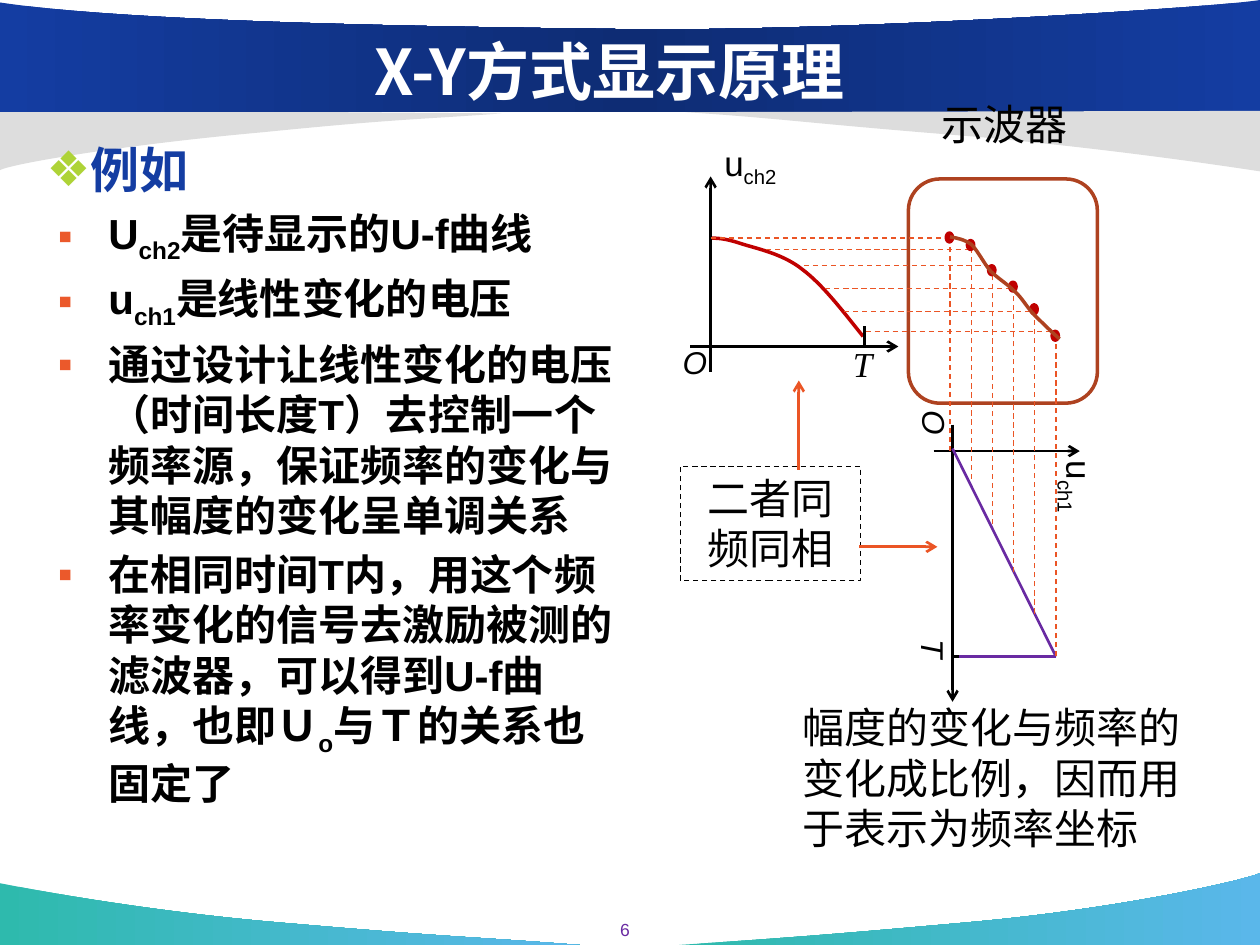
from copy import deepcopy

from lxml.etree import SubElement
from pptx import Presentation
from pptx.dml.color import RGBColor
from pptx.enum.dml import MSO_LINE
from pptx.enum.shapes import MSO_CONNECTOR, MSO_SHAPE
from pptx.enum.text import MSO_ANCHOR, MSO_AUTO_SIZE, PP_ALIGN
from pptx.oxml.ns import qn
from pptx.util import Inches, Pt

CJK = "Noto Sans CJK SC"
BLACK, WHITE, NAVY, PURPLE = "000000", "FFFFFF", "143DA2", "692AA2"
RED, BROWN, ORANGE, GREY = "C00000", "AE4220", "EB5525", "DDDDDD"
TEAL_SKY = ["2EBAAD", "5AB7EA"]


def style(shape, line=None, width=1.5, dash=False, arrow=False):
    """Set the outline of a shape or connector and switch off its shadow."""
    properties = shape._element.spPr
    if line:
        shape.line.color.rgb = RGBColor.from_string(line)
        shape.line.width = Pt(width)
        if dash:
            shape.line.dash_style = MSO_LINE.DASH
        if arrow:
            SubElement(properties.get_or_add_ln(), qn("a:tailEnd"), type="arrow")
    else:
        shape.line.fill.background()
    SubElement(properties, qn("a:effectLst"))


def write(paragraph, text, size, color=BLACK, font="Arial", bold=False, italic=False):
    """Write text in which _underscores_ enclose subscripts."""
    for index, part in enumerate(text.split("_")):
        run = paragraph.add_run()
        run.text = part
        run.font.size, run.font.name = Pt(size), font
        run.font.bold, run.font.italic = bold, italic
        run.font.color.rgb = RGBColor.from_string(color)
        properties = run._r.get_or_add_rPr()
        SubElement(properties, qn("a:ea"), typeface=CJK)
        if index % 2:
            properties.set("baseline", "-25000")


presentation = Presentation()
presentation.slide_width, presentation.slide_height = Inches(10), Inches(7.5)
slide = presentation.slides.add_slide(presentation.slide_layouts[1])
shapes = slide.shapes
title, body = slide.placeholders

# Background waves and the two signal curves:
# Bezier points, straight corners, fill colours, line colour
outlines = [
    ([(4.6, 7.5), (3.84, 7.44), (3.58, 7.44), (2.32, 7.33), (1.06, 7.23), (0.01, 7.01), (0, 7.01)],
     [(0, 7.5)], TEAL_SKY, None),
    ([(5.39, 7.5), (6.14, 7.45), (6.46, 7.43), (7.69, 7.32), (8.92, 7.21), (9.9, 6.98), (10, 6.93)],
     [(10, 7.5)], TEAL_SKY, None),
    ([(3.98, 0.9), (3.31, 0.95), (3.18, 0.94), (2.08, 1.05), (0.97, 1.15), (0.09, 1.3), (0, 1.35)],
     [(0, 0.87)], [GREY], None),
    ([(10, 0), (9.64, 0.06), (6.53, 0.26), (4.87, 0.23), (3.21, 0.21), (1.01, 0.17), (0, 0.02)],
     [(0, 0.89), (10, 0.89)], [NAVY, "0E2C74", NAVY], None),
    ([(5.44, 0.89), (6.2, 0.94), (6.42, 0.98), (7.68, 1.08), (8.94, 1.19), (9.99, 1.36), (10, 1.36)],
     [(10, 0.88)], [GREY], None),
    ([(5.64, 1.89), (5.69, 1.89), (5.75, 1.89), (5.87, 1.93), (5.99, 1.97), (6.21, 2.01),
      (6.37, 2.14), (6.53, 2.26), (6.69, 2.47), (6.85, 2.67)], [], [], RED),
    ([(7.54, 1.88), (7.6, 1.89), (7.65, 1.9), (7.71, 1.94), (7.76, 1.99), (7.81, 2.09),
      (7.86, 2.15), (7.92, 2.21), (7.99, 2.25), (8.05, 2.31), (8.11, 2.36), (8.15, 2.44),
      (8.21, 2.5), (8.27, 2.56), (8.34, 2.63), (8.41, 2.69)], [], [], BROWN),
]
for points, corners, fills, line in outlines:
    # The builder takes whole units, so points are given in hundredths of an inch
    first, *rest = [(round(x * 100), round(y * 100)) for x, y in points + corners]
    builder = shapes.build_freeform(*first, scale=Inches(0.01))
    builder.add_line_segments(rest, close=bool(fills))
    curve = builder.convert_to_shape()
    # Join every three segments of the curved part into one Bezier segment
    segments = list(curve._element.iter(qn("a:lnTo")))[:len(points) - 1]
    for start in range(0, len(segments), 3):
        bezier = segments[start].makeelement(qn("a:cubicBezTo"))
        segments[start].addprevious(bezier)
        for segment in segments[start:start + 3]:
            bezier.append(segment[0])
            segment.getparent().remove(segment)
    if len(fills) > 1:
        curve.fill.gradient()
        curve.fill.gradient_angle = 0
        stop_list = curve._element.spPr.find(".//" + qn("a:gsLst"))
        for extra in fills[2:]:
            stop_list.insert(1, deepcopy(stop_list[0]))
        for index, stop in enumerate(curve.fill.gradient_stops):
            stop.position = index / (len(fills) - 1)
            stop.color.rgb = RGBColor.from_string(fills[index])
    elif fills:
        curve.fill.solid()
        curve.fill.fore_color.rgb = RGBColor.from_string(fills[0])
    else:
        curve.fill.background()
    style(curve, line, 2)
screen_trace = curve

# Title and list, in front of the waves
for placeholder, box in ((title, (0.92, 0.25, 7.83, 0.62)), (body, (0.27, 1.06, 4.73, 6.03))):
    shapes._spTree.append(placeholder._element)
    placeholder.left, placeholder.top, placeholder.width, placeholder.height = map(Inches, box)
    placeholder.text_frame.auto_size = MSO_AUTO_SIZE.NONE
title.text_frame.vertical_anchor = MSO_ANCHOR.MIDDLE
title.text_frame.paragraphs[0].alignment = PP_ALIGN.CENTER
write(title.text_frame.paragraphs[0], "X-Y方式显示原理", 36, WHITE, CJK, bold=True)

items = [
    "例如",
    "U_ch2_是待显示的U-f曲线",
    "u_ch1_是线性变化的电压",
    "通过设计让线性变化的电压（时间长度T）去控制一个频率源，保证频率的变化与其幅度的变化呈单调关系",
    "在相同时间T内，用这个频率变化的信号去激励被测的滤波器，可以得到U-f曲线，也即Ｕ_o_与Ｔ的关系也固定了",
]
for index, item in enumerate(items):
    if index == 0:
        paragraph = body.text_frame.paragraphs[0]
        paragraph.space_before = Pt(0)
        margin, hang, bullet, bullet_color = 0.25, 0.25, "❖", "AED337"
        look = (28, NAVY, CJK)
    else:
        paragraph = body.text_frame.add_paragraph()
        paragraph.level = 1
        margin, hang, bullet, bullet_color = 0.49, 0.4, "▪", "EB592B"
        look = (24, BLACK, "Arial")
    properties = paragraph._p.get_or_add_pPr()
    properties.set("marL", str(Inches(margin)))
    properties.set("indent", str(-Inches(hang)))
    properties.set("hangingPunct", "0")
    SubElement(SubElement(properties, qn("a:buClr")), qn("a:srgbClr"), val=bullet_color)
    SubElement(properties, qn("a:buChar"), char=bullet)
    write(paragraph, item, *look, bold=True)

# Oscilloscope screen and the note frame
screen = shapes.add_shape(MSO_SHAPE.ROUNDED_RECTANGLE, *map(Inches, (7.21, 1.42, 1.5, 1.78)))
note = shapes.add_shape(MSO_SHAPE.RECTANGLE, *map(Inches, (5.4, 3.7, 1.43, 0.91)))
for frame, outline in ((screen, (BROWN, 2)), (note, (BLACK, 0.75, True))):
    frame.fill.background()
    style(frame, *outline)
note.text_frame.word_wrap = True
note.text_frame.vertical_anchor = MSO_ANCHOR.TOP
note.text_frame.paragraphs[0].alignment = PP_ALIGN.CENTER
write(note.text_frame.paragraphs[0], "二者同频同相", 24)

# Axes, ramp and pointers: from, to, colour, arrow; then the dashed projections
lines = [
    (5.48, 2.75, 7.13, 2.75, BLACK, True),
    (5.64, 2.95, 5.64, 1.4, BLACK, True),
    (6.86, 2.59, 6.86, 2.75, BLACK, False),
    (7.56, 3.37, 7.56, 5.57, BLACK, True),
    (7.41, 3.58, 8.57, 3.58, BLACK, True),
    (7.68, 5.21, 7.56, 5.21, BLACK, False),
    (7.61, 5.21, 8.38, 5.21, PURPLE, False),
    (8.38, 5.21, 7.56, 3.56, PURPLE, False),
    (6.34, 3.73, 6.34, 3.02, ORANGE, True),
    (6.82, 4.34, 7.44, 4.34, ORANGE, True),
]
# Each sample: start on the curve, its row, end on the ramp, top of its dot
samples = [(5.64, 1.89, 3.58, 1.85), (6.08, 1.98, 3.8, 1.91), (6.38, 2.11, 4.16, 2.11),
           (6.55, 2.29, 4.54, 2.24), (6.7, 2.47, 4.87, 2.42), (6.87, 2.63, 5.21, 2.63)]
columns = [7.54 + 0.168 * index for index in range(len(samples))]
projections = []
for x, (start, row, bottom, _) in zip(columns, samples):
    projections += [(start, row, x, row), (x, bottom, x, row)]
for *ends, color, arrow in lines + [(*ends, ORANGE, None) for ends in projections]:
    connector = shapes.add_connector(MSO_CONNECTOR.STRAIGHT, *map(Inches, ends))
    dashed = arrow is None
    style(connector, color, 0.75 if dashed else 1.5, dashed, arrow)

# Sample dots with the trace over them
for x, (_, _, _, top) in zip(columns, samples):
    dot = shapes.add_shape(MSO_SHAPE.OVAL, *map(Inches, (x - 0.03, top, 0.05, 0.07)))
    dot.fill.solid()
    dot.fill.fore_color.rgb = RGBColor.from_string(RED)
    style(dot, RED, 2)
shapes._spTree.append(screen_trace._element)

# Labels: box, text, size, rotation, extra formatting
italic = {"italic": True}
labels = [
    ((5.32, 2.67, 0.31, 0.4), "O", 18, 0, italic),
    ((7.33, 0.73, 1.28, 0.5), "示波器", 24, 0, {}),
    ((7.21, 3.17, 0.42, 0.4), "O", 18, 90, italic),
    ((7.18, 5.01, 0.46, 0.4), "T", 18, 90, italic),
    ((5.65, 1.07, 0.9, 0.44), "u_ch2", 20, 0, {}),
    ((7.97, 3.94, 1.2, 0.44), "u_ch1", 20, 90, {}),
    ((6.27, 5.52, 3.36, 1.31), "幅度的变化与频率的变化成比例，因而用于表示为频率坐标", 24, 0, {}),
    ((6.67, 2.67, 0.32, 0.44), "T", 20, 0, {"italic": True, "font": "Times New Roman"}),
    ((4.5, 7.26, 0.92, 0.24), "6", 10, 0, {"color": PURPLE}),
]
for box, text, size, rotation, extra in labels:
    label = shapes.add_textbox(*map(Inches, box))
    label.rotation = rotation
    label.text_frame.word_wrap = True
    if text in ("示波器", "6"):
        label.text_frame.paragraphs[0].alignment = PP_ALIGN.CENTER
    if text == "6":
        label.text_frame.vertical_anchor = MSO_ANCHOR.MIDDLE
    write(label.text_frame.paragraphs[0], text, size, **extra)

presentation.save("out.pptx")
